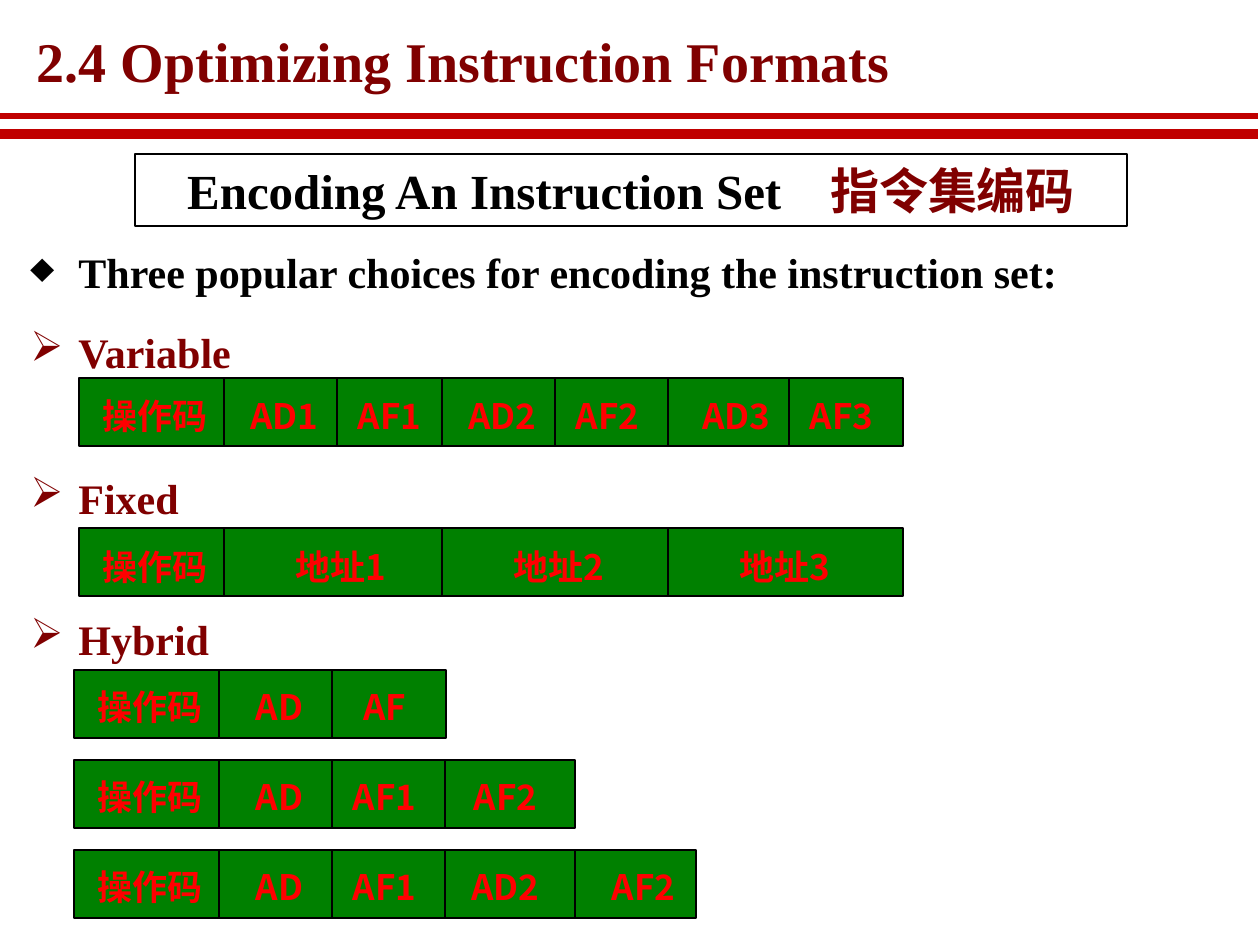
from lxml import etree
from pptx import Presentation
from pptx.dml.color import RGBColor
from pptx.enum import shapes, text
from pptx.oxml import ns
from pptx.util import Pt

PX = 914400 / 126  # EMU in one px
HUES = {"ink": "000000", "wine": "800000", "rule": "C00000",
        "cell": "008000", "code": "FF0000"}
SERIF, SANS = "Times New Roman", "Noto Sans CJK SC"
ROW_H = 68
LABEL_W = {"操": 137, "地": 154, "A": 105}  # by first letter


def emu(*px):
    return [round(v * PX) for v in px]


def hue(name):
    return RGBColor.from_string(HUES[name])


def put(para, words, size, color, face=SERIF):
    """Add a bold run, with one face for Latin and East Asian letters."""
    run = para.add_run()
    run.text = words
    form = {"size": Pt(size), "bold": True, "name": face}
    for key, value in form.items():
        setattr(run.font, key, value)
    run.font.color.rgb = hue(color)
    east = etree.SubElement(run.font._element, ns.qn("a:ea"))
    east.set("typeface", SANS)


def line(parent, x1, y1, x2, y2, color="ink", width=1):
    rule = parent.add_connector(shapes.MSO_CONNECTOR.STRAIGHT,
                                *emu(x1, y1, x2, y2))
    rule.line.color.rgb = hue(color)
    rule.line.width = Pt(width)
    etree.SubElement(rule._element.spPr, ns.qn("a:effectLst"))


def rect(parent, box, fill=None):
    frame = parent.add_shape(shapes.MSO_SHAPE.RECTANGLE, *emu(*box))
    frame.shadow.inherit = False
    if fill:
        frame.fill.solid()
        frame.fill.fore_color.rgb = hue(fill)
    else:
        frame.fill.background()
    frame.line.color.rgb = hue("ink")
    frame.line.width = Pt(1)
    return frame


def note(parent, box, align):
    """Add a wrapping text box and return its paragraph."""
    frame = parent.add_textbox(*emu(*box)).text_frame
    frame.word_wrap = True
    para = frame.paragraphs[0]
    para.alignment = align
    return para


def head(slide, box):
    # Title and the double rule below it
    title = slide.shapes.title
    for key, value in zip(("left", "top", "width", "height"), emu(*box)):
        setattr(title, key, value)
    frame = title.text_frame
    form = {"margin_left": 9, "margin_right": 9,
            "margin_top": 4, "margin_bottom": 4}
    for key, value in form.items():
        setattr(frame, key, emu(value)[0])
    frame.word_wrap = False
    frame.vertical_anchor = text.MSO_ANCHOR.MIDDLE
    para = frame.paragraphs[0]
    para.alignment = text.PP_ALIGN.LEFT
    para.line_spacing = 0.87
    put(para, "2.4 Optimizing Instruction Formats", 32, "wine")
    rules = slide.shapes.add_group_shape().shapes
    for y, width in ((134, 6), (116, 3)):
        line(rules, 0, y, 1258, y, "rule", width)


def topic(slide, box):
    frame = rect(slide.shapes, box).text_frame
    frame.word_wrap = True
    frame.vertical_anchor = text.MSO_ANCHOR.TOP
    para = frame.paragraphs[0]
    para.alignment = text.PP_ALIGN.CENTER
    put(para, "Encoding An Instruction Set", 28, "ink")
    put(para, "　指令集编码", 28, "wine")


def point(slide, box, mark, words, color, align=text.PP_ALIGN.LEFT):
    para = note(slide.shapes, box, align)
    props = para._p.get_or_add_pPr()
    props.set("marL", str(emu(48)[0]))
    props.set("indent", str(emu(-48)[0]))
    etree.SubElement(props, ns.qn("a:buChar")).set("char", mark)
    put(para, words, 24, color)
    return para


def row(parent, x, y, cells, drop):
    """Draw one instruction: cells hold label, width and label inset."""
    rect(parent, (x, y, sum(c[1] for c in cells), ROW_H), "cell")
    for i, (label, width, inset) in enumerate(cells):
        if i:
            line(parent, x, y, x, y + ROW_H)
        box = (x + inset, y + drop, LABEL_W[label[0]], 38)
        put(note(parent, box, text.PP_ALIGN.CENTER), label, 20, "code", SANS)
        x += width


def format_set(slide, x, y, rows, drop, pitch=90):
    group = slide.shapes.add_group_shape().shapes
    for i, cells in enumerate(rows):
        row(group, x, y + i * pitch, cells, drop)


def main():
    deck = Presentation()
    deck.slide_width, deck.slide_height = emu(1260, 945)
    slide = deck.slides.add_slide(deck.slide_layouts[5])
    head(slide, (28, 32, 892, 66))
    topic(slide, (135, 154, 992, 72))
    lead = point(slide, (18, 244, 1227, 62), "♦",
                 "Three popular choices for encoding the instruction set:",
                 "ink", text.PP_ALIGN.JUSTIFY)
    lead.line_spacing = 0.95

    # Cells of the three formats
    op = ("操作码", 145, 8)
    variable = [op, ("AD1", 113, 8), ("AF1", 105, 0), ("AD2", 113, 8),
                ("AF2", 113, 0), ("AD3", 121, 16), ("AF3", 114, 0)]
    fixed = [op, ("地址1", 218, 40), ("地址2", 226, 40), ("地址3", 235, 40)]
    start = [op, ("AD", 113, 8)]
    longer = start + [("AF1", 113, 0)]
    hybrid = [start + [("AF", 114, 0)],
              longer + [("AF2", 130, 8)],
              longer + [("AD2", 130, 8), ("AF2", 121, 16)]]

    parts = [("Variable", 320, 79, 378, [variable], 10),
             ("Fixed", 466, 79, 528, [fixed], 11),
             ("Hybrid", 607, 74, 670, hybrid, 9)]
    for name, top, x, y, rows, drop in parts:
        format_set(slide, x, y, rows, drop)
        point(slide, (18, top, 238, 63), "➢", name, "wine")
    deck.save("out.pptx")


if __name__ == "__main__":
    main()
